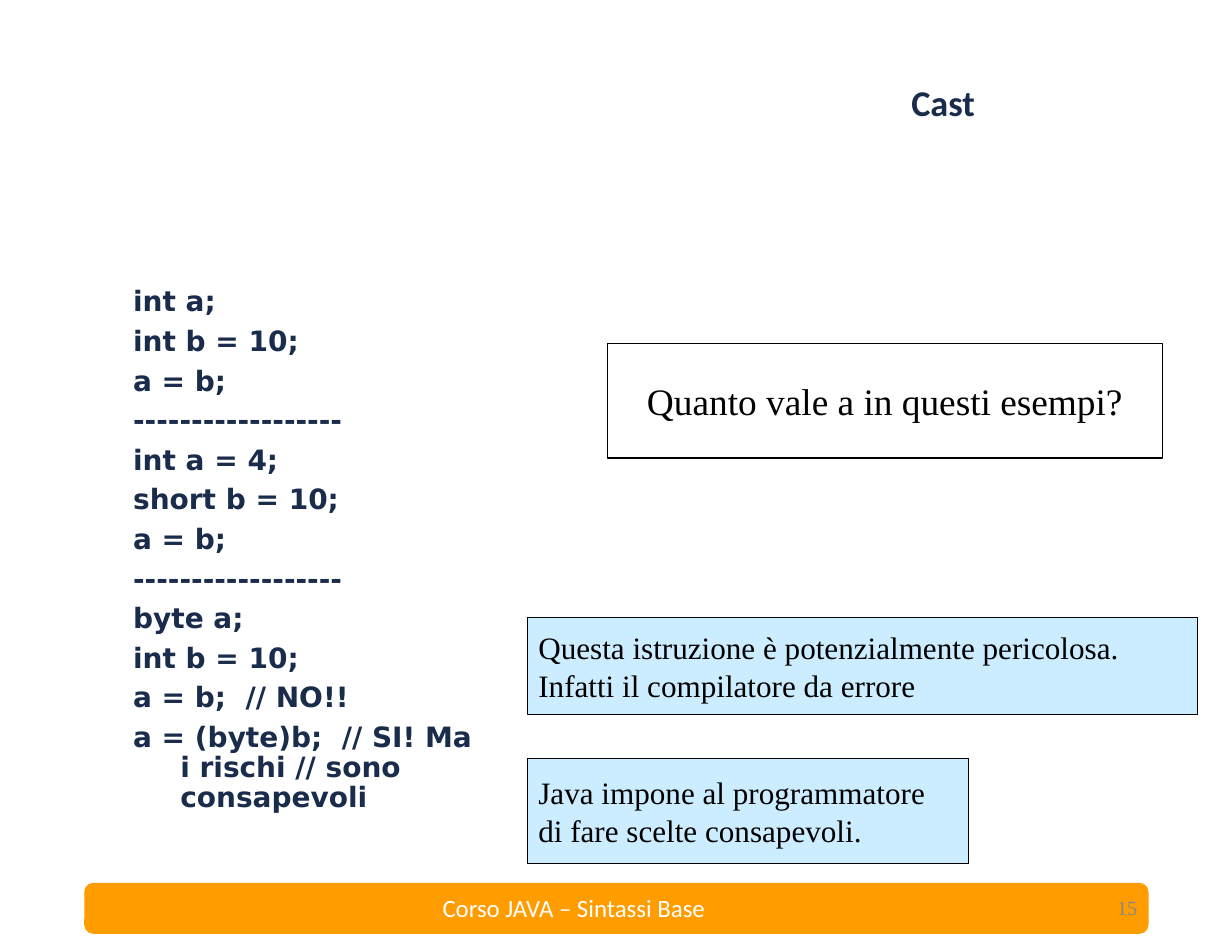
from pptx import Presentation
from pptx.dml.color import RGBColor
from pptx.enum.shapes import MSO_SHAPE
from pptx.enum.text import MSO_ANCHOR, PP_ALIGN
from pptx.util import Cm, Pt

RECT, ROUND = MSO_SHAPE.RECTANGLE, MSO_SHAPE.ROUNDED_RECTANGLE
TOP, MIDDLE = MSO_ANCHOR.TOP, MSO_ANCHOR.MIDDLE
LEFT, CENTER, RIGHT = PP_ALIGN.LEFT, PP_ALIGN.CENTER, PP_ALIGN.RIGHT

COLORS = {
    "navy": "1A2C4B",
    "orange": "FF9C00",
    "sky": "CCECFF",
    "white": "FFFFFF",
    "black": "000000",
    "gray": "898989",
}
SERIF, SANS, CODE = "Times New Roman", "Calibri", "DejaVu Sans"

LINES = [
    "int a;",
    "int b = 10;",
    "a = b;",
    "------------------",
    "int a = 4;",
    "short b = 10;",
    "a = b;",
    "------------------",
    "byte a;",
    "int b = 10;",
    "a = b;  // NO!!",
    "a = (byte)b;  // SI! Ma i rischi // sono consapevoli",
]


class Painter:
    """Draws the styled elements of one slide."""

    def __init__(self, slide):
        self.slide = slide

    def color(self, name):
        return RGBColor.from_string(COLORS[name])

    def fill_text(self, shape, text, size, font, color, bold=False,
                  align=LEFT, anchor=MIDDLE, wrap=True):
        frame = shape.text_frame
        frame.text = text
        frame.word_wrap = wrap
        frame.vertical_anchor = anchor
        for para in frame.paragraphs:
            para.alignment = align
            for run in para.runs:
                run.font.size = Pt(size)
                run.font.name = font
                run.font.bold = bold
                run.font.color.rgb = self.color(color)
        return frame

    def shape(self, kind, box, fill, line, width):
        shape = self.slide.shapes.add_shape(kind, *map(Cm, box))
        shape.shadow.inherit = False
        shape.fill.solid()
        shape.fill.fore_color.rgb = self.color(fill)
        shape.line.color.rgb = self.color(line)
        shape.line.width = Pt(width)
        return shape

    def bar(self, box):
        self.shape(ROUND, box, "orange", "orange", 1)

    def label(self, box, text, size, font, color, **style):
        shape = self.slide.shapes.add_textbox(*map(Cm, box))
        return self.fill_text(shape, text, size, font, color, **style)

    def note(self, box, text, size, fill, align=LEFT):
        shape = self.shape(RECT, box, fill, "black", 0.75)
        self.fill_text(shape, text, size, SERIF, "black",
                       align=align, wrap=False)

    def code(self, box, lines):
        frame = self.label(box, "\n".join(lines), 18, CODE, "navy",
                           bold=True, anchor=TOP)
        for index, para in enumerate(frame.paragraphs):
            para.line_spacing = 0.9
            para.space_before = Pt(6 if index else 0)
            props = para._p.get_or_add_pPr()
            props.set("marL", str(Cm(1.07)))
            props.set("indent", str(-Cm(1.07)))


def main():
    deck = Presentation()
    deck.slide_width, deck.slide_height = Cm(27.94), Cm(21.59)
    pen = Painter(deck.slides.add_slide(deck.slide_layouts[6]))

    pen.bar((1.93, 20.04, 24.1, 1.12))
    title = pen.label((15.98, 0.38, 10.82, 4.01), "Cast", 23.3, SANS, "navy",
                      bold=True, align=CENTER)
    title.paragraphs[0].line_spacing = 0.9
    pen.code((2.77, 6.4, 8.61, 12.93), LINES)
    pen.label((19.74, 20.02, 6.3, 1.14), "15", 13, SERIF, "gray", align=RIGHT)
    pen.note((13.77, 7.8, 12.6, 2.59), "Quanto vale a in questi esempi?",
             24, "white", CENTER)
    pen.note((11.96, 14, 15.19, 2.21),
             "Questa istruzione è potenzialmente pericolosa.\n"
             "Infatti il compilatore da errore", 20, "sky")
    pen.note((11.96, 17.2, 10.01, 2.39),
             "Java impone al programmatore\ndi fare scelte consapevoli.",
             20, "sky")
    pen.label((6.07, 20.09, 13.89, 0.97), "Corso JAVA – Sintassi Base",
              16, SANS, "white", align=CENTER)
    deck.save("out.pptx")


if __name__ == "__main__":
    main()
